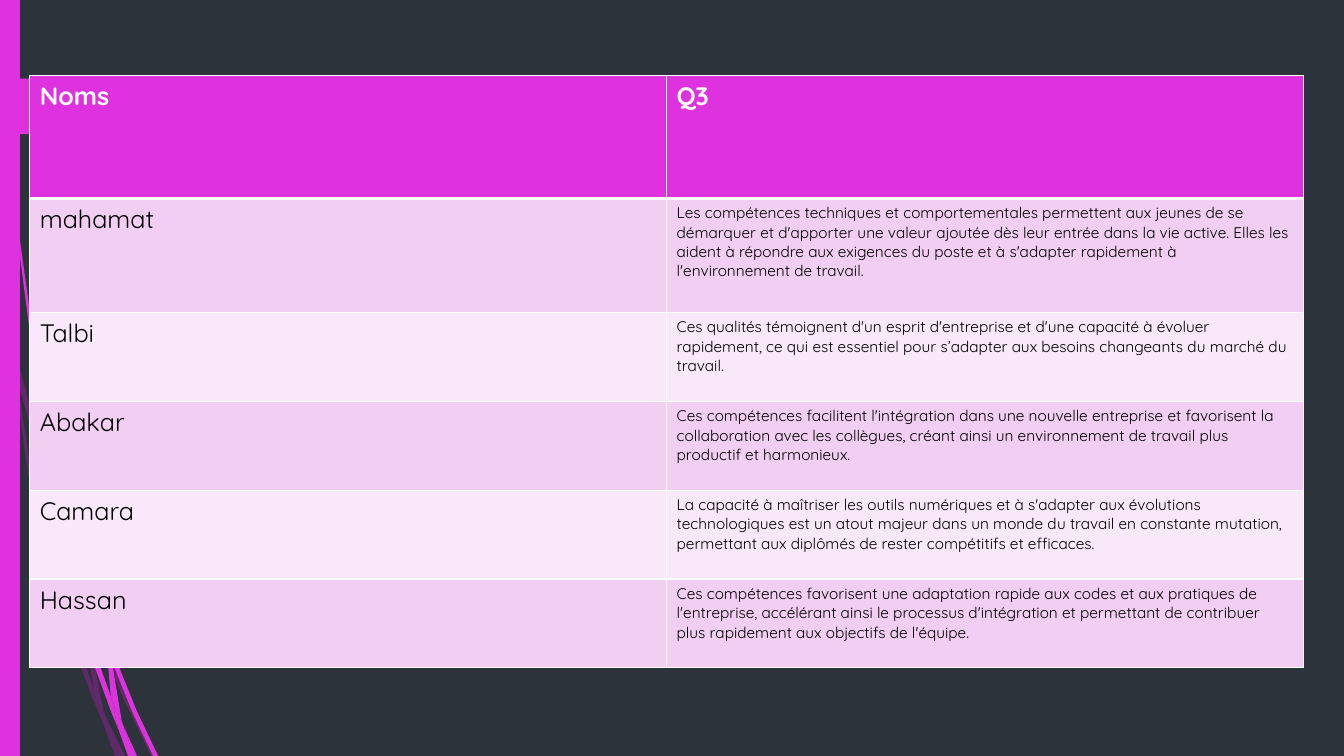
"""Build a slide with a two-column table of answers over a dark background with wisps."""
from dataclasses import dataclass
from lxml.etree import SubElement
from pptx import Presentation
from pptx.dml.color import RGBColor
from pptx.oxml.ns import qn
from pptx.util import Cm, Pt

COLORS = {
    "night": "2C333A",
    "magenta": "DE32DE",
    "purple": "B01CB0",
    "band": "F2CEF2",
    "pale": "F9E8F9",
    "white": "FFFFFF",
    "black": "000000",
}
FONT = "Quicksand"
OUTLINE_UNIT = Cm(0.0254)


@dataclass(frozen=True)
class Wisp:
    """A cluster of blades that share a colour; points are in outline units."""

    color: str
    alpha: int
    blades: list[list[tuple[int, int]]]


@dataclass(frozen=True)
class Answer:
    """One person's reply and the height of its row in centimetres."""

    name: str
    reply: str
    height: float = 2.24


WISPS = [
    Wisp("purple", 40, [
        [(58, 522), (84, 599), (85, 586), (62, 520), (14, 345), (17, 376)],
        [(92, 607), (88, 596), (88, 610), (123, 694), (150, 750), (155, 750), (127, 692)],
        [(119, 750), (124, 750), (105, 711)],
        [(93, 683), (70, 619), (31, 469), (17, 376), (11, 350), (28, 470), (65, 621),
         (92, 693), (101, 714), (99, 707)],
        [(84, 599), (87, 646), (93, 683), (96, 692), (105, 711), (103, 706), (91, 646),
         (88, 610), (88, 608)],
        [(101, 714), (114, 750), (119, 750)],
        [(96, 692), (93, 683), (99, 707), (101, 714), (119, 750), (105, 711)],
    ]),
    Wisp("magenta", 100, [
        [(7, 110), (17, 233), (33, 355), (56, 477), (57, 481), (55, 457), (55, 453),
         (36, 355), (19, 232), (8, 109), (5, 48), (4, 0), (3, 0), (4, 48)],
        [(113, 649), (110, 641), (111, 656), (132, 708), (152, 750), (157, 750), (136, 706)],
        [(110, 691), (98, 657), (72, 556), (64, 505), (57, 477), (68, 557), (93, 659),
         (111, 708), (117, 722), (116, 717)],
        [(133, 750), (136, 750), (122, 719)],
        [(117, 722), (127, 750), (131, 750)],
        [(106, 645), (110, 691), (116, 706), (122, 719), (121, 716), (111, 656), (109, 651)],
        [(116, 706), (110, 691), (116, 717), (117, 722), (130, 750), (133, 750), (122, 719)],
    ]),
]
PAGE_TAB = [(173, 108), (148, 133), (146, 134), (136, 134), (0, 133), (0, 78), (146, 78),
            (148, 79), (173, 104), (174, 106)]
ANSWERS = [
    Answer("mahamat", "Les compétences techniques et comportementales permettent aux jeunes de se "
           "démarquer et d'apporter une valeur ajoutée dès leur entrée dans la vie active. Elles "
           "les aident à répondre aux exigences du poste et à s'adapter rapidement à "
           "l'environnement de travail.", 2.87),
    Answer("Talbi", "Ces qualités témoignent d'un esprit d'entreprise et d'une capacité à évoluer "
           "rapidement, ce qui est essentiel pour s’adapter aux besoins changeants du marché du "
           "travail."),
    Answer("Abakar", "Ces compétences facilitent l'intégration dans une nouvelle entreprise et "
           "favorisent la collaboration avec les collègues, créant ainsi un environnement de "
           "travail plus productif et harmonieux."),
    Answer("Camara", "La capacité à maîtriser les outils numériques et à s'adapter aux évolutions "
           "technologiques est un atout majeur dans un monde du travail en constante mutation, "
           "permettant aux diplômés de rester compétitifs et efficaces."),
    Answer("Hassan", "Ces compétences favorisent une adaptation rapide aux codes et aux pratiques "
           "de l'entreprise, accélérant ainsi le processus d'intégration et permettant de "
           "contribuer plus rapidement aux objectifs de l'équipe."),
]


def rgb(color: str) -> RGBColor:
    """Return the named colour."""
    return RGBColor.from_string(COLORS[color])


def paint(shape, color: str, alpha: int = 100) -> None:
    """Fill a shape without line or shadow, at an opacity in percent."""
    shape.shadow.inherit = False
    shape.line.fill.background()
    shape.fill.solid()
    shape.fill.fore_color.rgb = rgb(color)
    if alpha < 100:
        tint = shape.fill._xPr.find(f"{qn('a:solidFill')}/{qn('a:srgbClr')}")
        SubElement(tint, qn("a:alpha"), val=str(alpha * 1000))


def draw_outline(shapes, points: list[tuple[int, int]], color: str, alpha: int = 100) -> None:
    """Draw a closed outline."""
    builder = shapes.build_freeform(*points[0], scale=OUTLINE_UNIT)
    builder.add_line_segments(points[1:], close=True)
    paint(builder.convert_to_shape(), color, alpha)


def write(frame, text: str, *, size: float, color: str = "black", bold: bool = False) -> None:
    """Write one formatted paragraph."""
    paragraph = frame.paragraphs[0]
    run = paragraph.add_run()
    run.text = text
    run.font.name = FONT
    run.font.size = Pt(size)
    run.font.bold = bold
    run.font.color.rgb = rgb(color)


def format_cell(cell, fill: str, top: float = 1, bottom: float = 1) -> None:
    """Give a cell white borders and a fill."""
    properties = cell._tc.get_or_add_tcPr()
    for side, width in {"L": 1, "R": 1, "T": top, "B": bottom}.items():
        border = SubElement(properties, qn(f"a:ln{side}"), w=str(Pt(width)))
        SubElement(SubElement(border, qn("a:solidFill")), qn("a:srgbClr"), val=COLORS["white"])
    cell.fill.solid()
    cell.fill.fore_color.rgb = rgb(fill)


def draw_answers(shapes) -> None:
    """Draw the table of names and replies."""
    heights = [3.1] + [answer.height for answer in ANSWERS]
    answers_table = shapes.add_table(
        len(heights), 2, Cm(0.75), Cm(1.9), Cm(32.1), Cm(sum(heights))).table
    for column in answers_table.columns:
        column.width = Cm(16.05)
    for row, height in zip(answers_table.rows, heights):
        row.height = Cm(height)
    for cell, heading in zip(answers_table.rows[0].cells, ("Noms", "Q3")):
        format_cell(cell, "magenta", bottom=3)
        write(cell.text_frame, heading, size=18, color="white", bold=True)
    for index, answer in enumerate(ANSWERS, start=1):
        cells = answers_table.rows[index].cells
        for cell, text, size in zip(cells, (answer.name, answer.reply), (18, 11)):
            format_cell(cell, "band" if index % 2 else "pale", top=3 if index == 1 else 1)
            write(cell.text_frame, text, size=size)


def main() -> None:
    """Build and save the slide."""
    deck = Presentation()
    deck.slide_width, deck.slide_height = Cm(33.87), Cm(19.05)
    slide = deck.slides.add_slide(deck.slide_layouts[6])
    slide.background.fill.solid()
    slide.background.fill.fore_color.rgb = rgb("night")
    for wisp in WISPS:
        cluster = slide.shapes.add_group_shape()
        for blade in wisp.blades:
            draw_outline(cluster.shapes, blade, wisp.color, wisp.alpha)
    side_bar = [(0, 0), (20, 0), (20, 750), (0, 750)]
    for outline in (side_bar, PAGE_TAB):
        draw_outline(slide.shapes, outline, "magenta")
    draw_answers(slide.shapes)
    deck.save("out.pptx")


if __name__ == "__main__":
    main()
